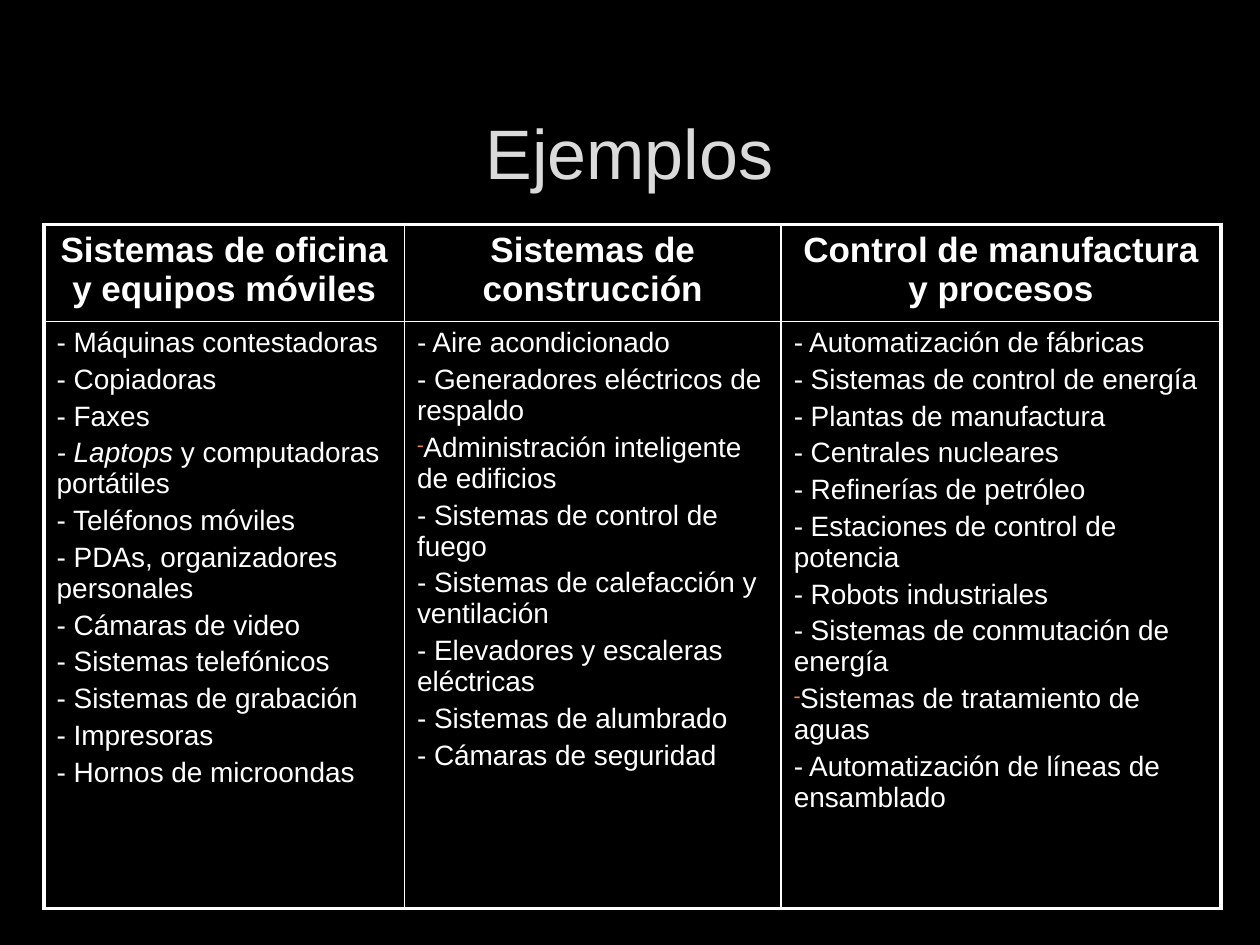
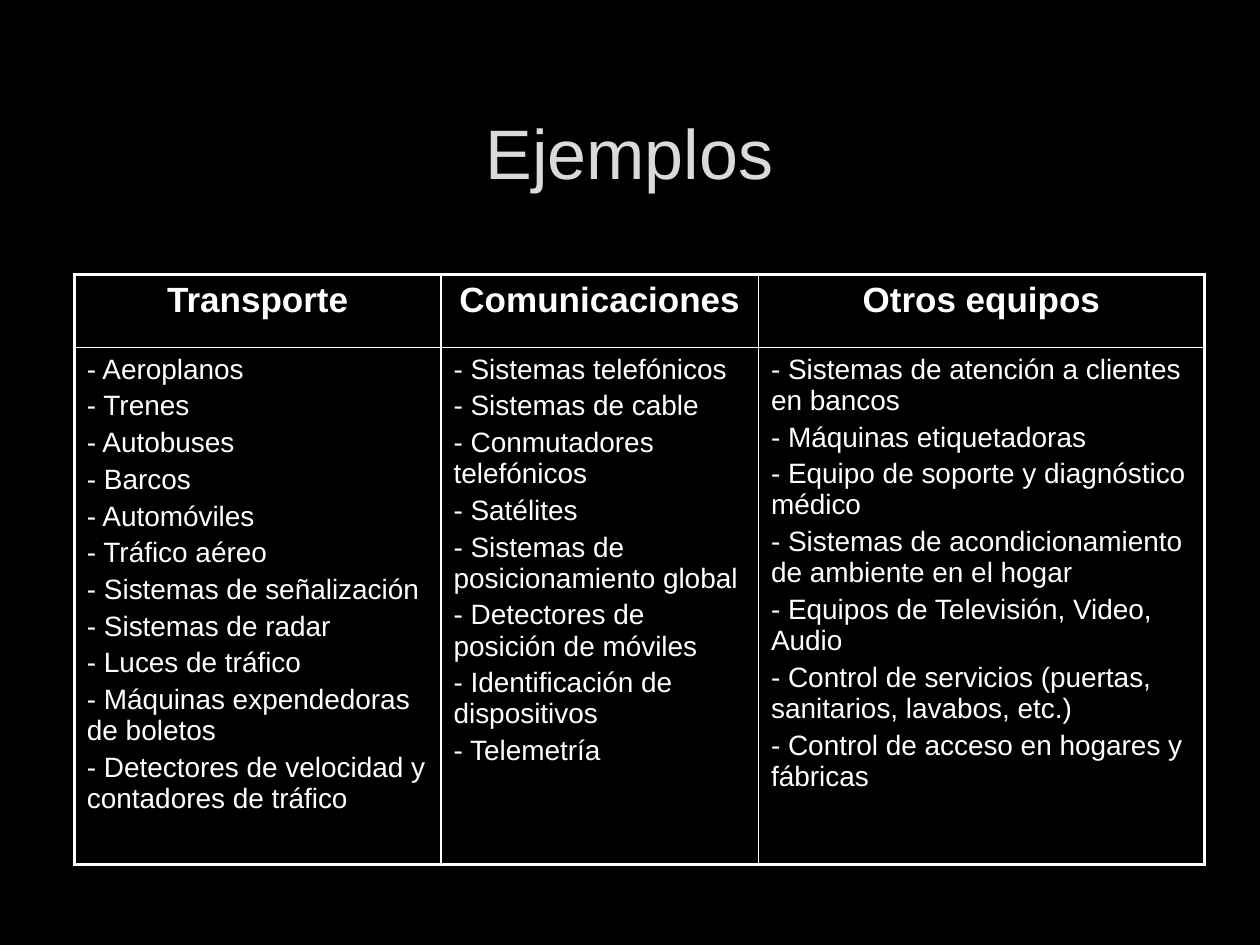
from dataclasses import dataclass

from lxml import etree
from pptx import Presentation
from pptx.dml.color import RGBColor
from pptx.enum.text import MSO_ANCHOR, PP_ALIGN
from pptx.oxml.ns import qn
from pptx.util import Inches, Pt

CENTER = PP_ALIGN.CENTER
LEFT = PP_ALIGN.LEFT
MIDDLE = MSO_ANCHOR.MIDDLE
TITLE_ONLY = 5


@dataclass(frozen=True)
class Theme:
    font: str = "Arial"
    background: str = "000000"
    title: str = "DADADA"
    text: str = "FFFFFF"
    bullet: str = "E98052"
    title_size: int = 40
    heading_size: int = 20
    item_size: int = 16
    spacing: float = 0.2
    outer_line: float = 2.25
    inner_line: float = 1


@dataclass(frozen=True)
class Item:
    text: str
    italic_lead: str = ""
    bulleted: bool = False


THEME = Theme()

OFFICE_AND_INDUSTRY = {
    "Sistemas de oficina y equipos móviles": [
        "Máquinas contestadoras",
        "Copiadoras",
        "Faxes",
        Item(" y computadoras portátiles", italic_lead="- Laptops"),
        "Teléfonos móviles",
        "PDAs, organizadores personales",
        "Cámaras de video",
        "Sistemas telefónicos",
        "Sistemas de grabación",
        "Impresoras",
        "Hornos de microondas",
    ],
    "Sistemas de construcción": [
        "Aire acondicionado",
        "Generadores eléctricos de respaldo",
        Item("Administración inteligente de edificios", bulleted=True),
        "Sistemas de control de fuego",
        "Sistemas de calefacción y ventilación",
        "Elevadores y escaleras eléctricas",
        "Sistemas de alumbrado",
        "Cámaras de seguridad",
    ],
    "Control de manufactura y procesos": [
        "Automatización de fábricas",
        "Sistemas de control de energía",
        "Plantas de manufactura",
        "Centrales nucleares",
        "Refinerías de petróleo",
        "Estaciones de control de potencia",
        "Robots industriales",
        "Sistemas de conmutación de energía",
        Item("Sistemas de tratamiento de aguas", bulleted=True),
        "Automatización de líneas de ensamblado",
    ],
}

TRANSPORT_AND_OTHERS = {
    "Transporte": [
        "Aeroplanos",
        "Trenes",
        "Autobuses",
        "Barcos",
        "Automóviles",
        "Tráfico aéreo",
        "Sistemas de señalización",
        "Sistemas de radar",
        "Luces de tráfico",
        "Máquinas expendedoras de boletos",
        "Detectores de velocidad y contadores de tráfico",
    ],
    "Comunicaciones": [
        "Sistemas telefónicos",
        "Sistemas de cable",
        "Conmutadores telefónicos",
        "Satélites",
        "Sistemas de posicionamiento global",
        "Detectores de posición de móviles",
        "Identificación de dispositivos",
        "Telemetría",
    ],
    "Otros equipos": [
        "Sistemas de atención a clientes en bancos",
        "Máquinas etiquetadoras",
        "Equipo de soporte y diagnóstico médico",
        "Sistemas de acondicionamiento de ambiente en el hogar",
        "Equipos de Televisión, Video, Audio",
        "Control de servicios (puertas, sanitarios, lavabos, etc.)",
        "Control de acceso en hogares y fábricas",
    ],
}


def style_paragraph(paragraph, size, color, alignment, bold=False):
    paragraph.alignment = alignment
    font = paragraph.font
    font.name = THEME.font
    font.size = Pt(size)
    font.bold = bold
    font.color.rgb = RGBColor.from_string(color)


def add_dash_bullet(paragraph):
    properties = paragraph._p.get_or_add_pPr()
    properties.set("marL", "0")
    properties.set("indent", "0")
    bullet_parts = []
    color = etree.Element(qn("a:buClr"))
    etree.SubElement(color, qn("a:srgbClr"), val=THEME.bullet)
    bullet_parts.append(color)
    bullet_parts.append(etree.Element(qn("a:buSzPct"), val="70000"))
    bullet_parts.append(etree.Element(qn("a:buFontTx")))
    bullet_parts.append(etree.Element(qn("a:buChar"), char="-"))
    defaults = properties.find(qn("a:defRPr"))
    for part in bullet_parts:
        defaults.addprevious(part)


def add_run(paragraph, text, size, bold=False, italic=False):
    run = paragraph.add_run()
    run.text = text
    font = run.font
    font.name = THEME.font
    font.size = Pt(size)
    font.bold = bold
    font.italic = italic
    font.color.rgb = RGBColor.from_string(THEME.text)


def write_heading(cell, heading):
    paragraph = cell.text_frame.paragraphs[0]
    paragraph.alignment = CENTER
    add_run(paragraph, heading, THEME.heading_size, bold=True)


def write_items(cell, items):
    frame = cell.text_frame
    for index, entry in enumerate(items):
        item = entry if isinstance(entry, Item) else Item(f"- {entry}")
        paragraph = frame.add_paragraph() if index else frame.paragraphs[0]
        style_paragraph(paragraph, THEME.item_size, THEME.text, LEFT)
        if index:
            paragraph.space_before = Pt(THEME.item_size * THEME.spacing)
        if item.bulleted:
            add_dash_bullet(paragraph)
        if item.italic_lead:
            add_run(paragraph, item.italic_lead, THEME.item_size, italic=True)
        add_run(paragraph, item.text, THEME.item_size)


def set_borders(cell, outer_sides):
    properties = cell._tc.get_or_add_tcPr()
    for side in "LRTB":
        width = THEME.outer_line if side in outer_sides else THEME.inner_line
        line = etree.SubElement(properties, qn(f"a:ln{side}"), w=str(Pt(width)))
        fill = etree.SubElement(line, qn("a:solidFill"))
        etree.SubElement(fill, qn("a:srgbClr"), val=THEME.text)


def add_title(slide, text):
    title = slide.shapes.title
    title.left, title.top = Inches(0.75), Inches(0.67)
    title.width, title.height = Inches(8.49), Inches(1.06)
    frame = title.text_frame
    frame.text = text
    frame.vertical_anchor = MIDDLE
    style_paragraph(frame.paragraphs[0], THEME.title_size, THEME.title, CENTER)


def add_category_table(slide, categories, left, top, column_widths, row_heights):
    table = slide.shapes.add_table(
        len(row_heights), len(column_widths), Inches(left), Inches(top),
        Inches(sum(column_widths)), Inches(sum(row_heights)),
    ).table
    table.first_row = False
    table.horz_banding = False
    for row, height in zip(table.rows, row_heights):
        row.height = Inches(height)
    last_column = len(column_widths) - 1
    for index, (heading, items) in enumerate(categories.items()):
        table.columns[index].width = Inches(column_widths[index])
        heading_cell, items_cell = table.cell(0, index), table.cell(1, index)
        write_heading(heading_cell, heading)
        write_items(items_cell, items)
        sides = {0: "L", last_column: "R"}.get(index, "")
        for cell, edge in ((heading_cell, "T"), (items_cell, "B")):
            set_borders(cell, sides + edge)
            cell.fill.background()


def add_examples_slide(presentation, categories, **table_layout):
    slide = presentation.slides.add_slide(presentation.slide_layouts[TITLE_ONLY])
    add_title(slide, "Ejemplos")
    add_category_table(slide, categories, **table_layout)


def main():
    presentation = Presentation()
    presentation.slide_width = Inches(10)
    presentation.slide_height = Inches(7.5)
    background = presentation.slide_master.background.fill
    background.solid()
    background.fore_color.rgb = RGBColor.from_string(THEME.background)
    add_examples_slide(
        presentation, OFFICE_AND_INDUSTRY, left=0.35, top=1.78,
        column_widths=(2.86, 2.99, 3.49), row_heights=(0.77, 4.66),
    )
    add_examples_slide(
        presentation, TRANSPORT_AND_OTHERS, left=0.59, top=2.18,
        column_widths=(2.91, 2.52, 3.54), row_heights=(0.58, 4.1),
    )
    presentation.save("out.pptx")


if __name__ == "__main__":
    main()
